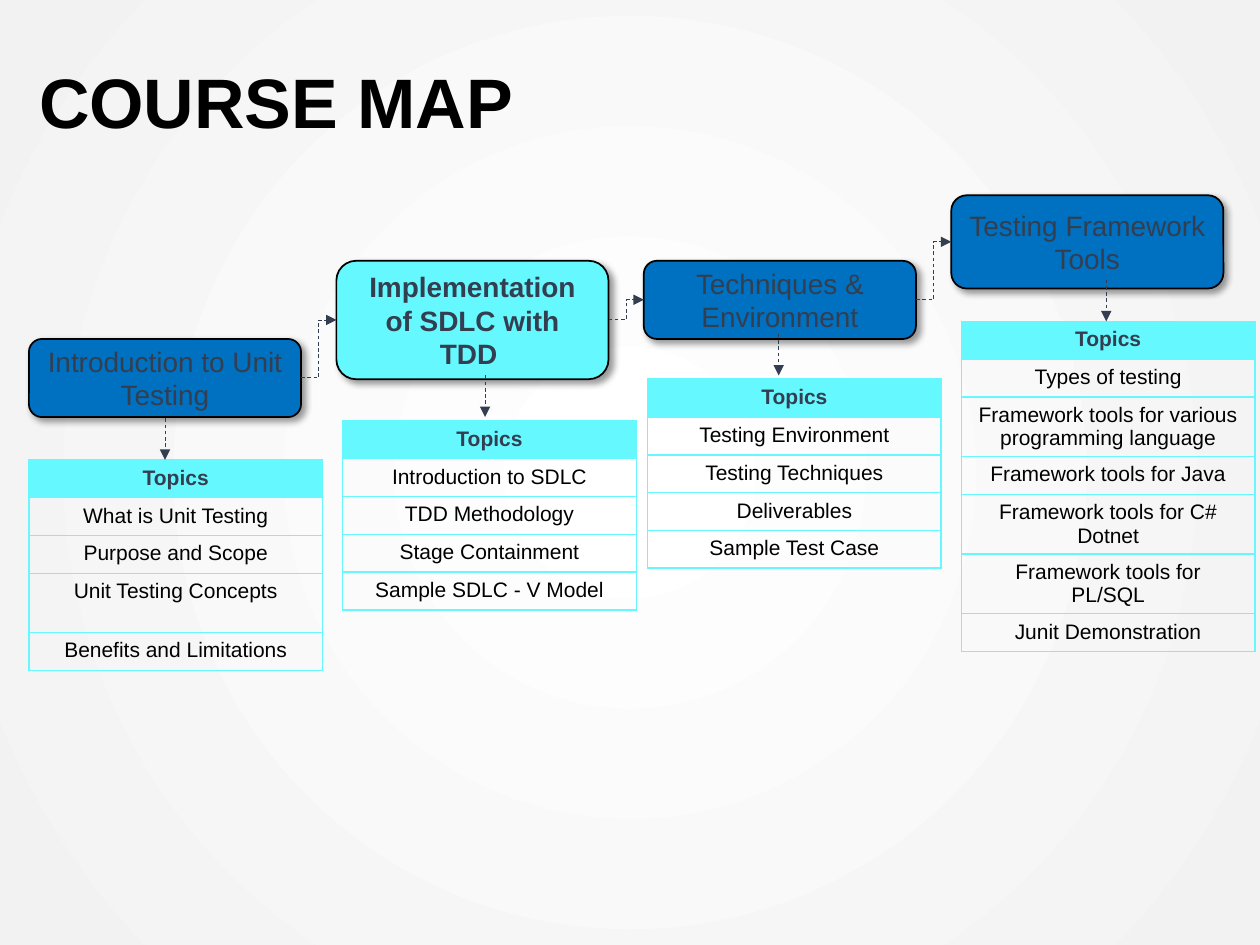
from pptx import Presentation
from pptx.dml.color import RGBColor
from pptx.enum.dml import MSO_LINE
from pptx.enum.shapes import MSO_CONNECTOR, MSO_SHAPE
from pptx.enum.text import MSO_ANCHOR, PP_ALIGN
from pptx.oxml import parse_xml
from pptx.oxml.ns import nsdecls, qn
from pptx.util import Pt
from lxml import etree

DASH = MSO_LINE.DASH
ELBOW, LINE = MSO_CONNECTOR.ELBOW, MSO_CONNECTOR.STRAIGHT
ROUND = MSO_SHAPE.ROUNDED_RECTANGLE
MIDDLE, BOTTOM = MSO_ANCHOR.MIDDLE, MSO_ANCHOR.BOTTOM
LEFT, CENTER = PP_ALIGN.LEFT, PP_ALIGN.CENTER

PX = 9144  # 100 px to the inch
HEX = {"black": "000000", "blue": "0070C0", "cyan": "66F8FF",
       "slate": "333F50", "white": "FFFFFF", "gray": "F2F2F2"}
RGB = {name: RGBColor.from_string(code) for name, code in HEX.items()}
NS = nsdecls("a")


def write(frame, text, size, color, bold=False, align=CENTER):
    frame.text = text
    para = frame.paragraphs[0]
    para.alignment = align
    style = {"name": "Arial", "size": Pt(size), "bold": bold}
    for run in para.runs:
        for key, value in style.items():
            setattr(run.font, key, value)
        run.font.color.rgb = RGB[color]
    return para


def arrow(kind, x1, y1, x2, y2):
    link = slide.shapes.add_connector(kind, x1 * PX, y1 * PX, x2 * PX, y2 * PX)
    link.line.color.rgb = RGB["slate"]
    link.line.width = Pt(0.5)
    link.line.dash_style = DASH
    etree.SubElement(link.line._get_or_add_ln(), qn("a:tailEnd"), type="triangle")
    etree.SubElement(link._element.spPr, qn("a:effectLst"))


deck = Presentation()
deck.slide_width, deck.slide_height = 1000 * PX, 750 * PX
slide = deck.slides.add_slide(deck.slide_layouts[5])

# Background: radial gradient from the centre
fill = slide.background.fill
fill.gradient()
for stop, color, place in zip(fill.gradient_stops, ("white", "gray"), (0.02, 1)):
    stop.color.rgb = RGB[color]
    stop.position = place
lin = next(slide._element.iter(qn("a:lin")))
lin.getparent().replace(lin, parse_xml(
    f'<a:path {NS} path="circle">'
    '<a:fillToRect l="50000" t="50000" r="50000" b="50000"/></a:path>'))

# Title
title = slide.shapes.title
title.left, title.top = 31 * PX, 0
title.width, title.height = 938 * PX, 111 * PX
frame = title.text_frame
form = {"margin_left": 0, "margin_right": 0, "margin_top": 5 * PX,
        "margin_bottom": 0, "vertical_anchor": BOTTOM, "word_wrap": True}
for key, value in form.items():
    setattr(frame, key, value)
write(frame, "COURSE MAP", 40, "black", True, LEFT).line_spacing = 0.7

# Modules: name, top, height, current
STEP, WIDE = 244, 216
MODULES = [
    ("Introduction to Unit Testing", 269, 62, False),
    ("Implementation of SDLC with TDD ", 207, 94, True),
    ("Techniques & Environment", 207, 62, False),
    ("Testing Framework Tools", 155, 74, False),
]
for i, (name, top, high, now) in enumerate(MODULES):
    left = 23 + i * STEP
    box = slide.shapes.add_shape(ROUND, left * PX, top * PX, WIDE * PX, high * PX)
    box.fill.solid()
    box.fill.fore_color.rgb = RGB["cyan" if now else "blue"]
    box.line.color.rgb = RGB["black"]
    box.line.width = Pt(1)
    box.shadow.inherit = False
    box._element.spPr.find(qn("a:effectLst")).append(parse_xml(
        f'<a:outerShdw {NS} blurRad="{Pt(4)}" dist="{Pt(3)}" dir="2700000" '
        f'algn="tl" rotWithShape="0"><a:srgbClr val="{HEX["black"]}">'
        '<a:alpha val="40000"/></a:srgbClr></a:outerShdw>'))
    box.text_frame.word_wrap = True
    box.text_frame.vertical_anchor = MIDDLE
    write(box.text_frame, name, 16, "slate", now)

# Stepped arrows from each module to the next
for i, (here, after) in enumerate(zip(MODULES, MODULES[1:])):
    edge = 23 + i * STEP + WIDE
    arrow(ELBOW, edge, here[1] + here[2] // 2,
          edge + STEP - WIDE, after[1] + after[2] // 2)

# Topic tables: left, top, topics; a row holding two lines is taller
ROW, TALL = 30, 47
TOPICS = [
    (23, 365, ["What is Unit Testing", "Purpose and Scope",
               "Unit Testing Concepts", "Benefits and Limitations"]),
    (272, 334, ["Introduction to SDLC", "TDD Methodology",
                "Stage Containment", "Sample SDLC - V Model"]),
    (514, 301, ["Testing Environment", "Testing Techniques",
                "Deliverables", "Sample Test Case"]),
    (763, 255, ["Types of testing",
                "Framework tools for various programming language",
                "Framework tools for Java", "Framework tools for C# Dotnet",
                "Framework tools for\vPL/SQL", "Junit Demonstration"]),
]
TWO = {"Unit Testing Concepts", *(TOPICS[3][2][i] for i in (1, 3, 4))}
for left, top, topics in TOPICS:
    rows = ["Topics", *topics]
    highs = [TALL if text in TWO else ROW for text in rows]
    table = slide.shapes.add_table(len(rows), 1, left * PX, top * PX,
                                   233 * PX, sum(highs) * PX).table
    table.horz_banding = False
    for i, (text, high) in enumerate(zip(rows, highs)):
        table.rows[i].height = high * PX
        cell = table.cell(i, 0)
        head = i == 0
        write(cell.text_frame, text, 12, "slate" if head else "black", head)
        props = cell._tc.get_or_add_tcPr()
        for side in "LRTB":
            props.append(parse_xml(
                f'<a:ln{side} {NS} w="{Pt(1)}"><a:solidFill>'
                f'<a:srgbClr val="{HEX["cyan"]}"/></a:solidFill></a:ln{side}>'))
        if head:
            cell.fill.solid()
            cell.fill.fore_color.rgb = RGB["cyan"]
        else:
            cell.fill.background()

# Arrows down to the tables
for x, y in [(131, 332), (385, 298), (618, 265), (878, 222)]:
    arrow(LINE, x, y, x, y + 33)

deck.save("out.pptx")
